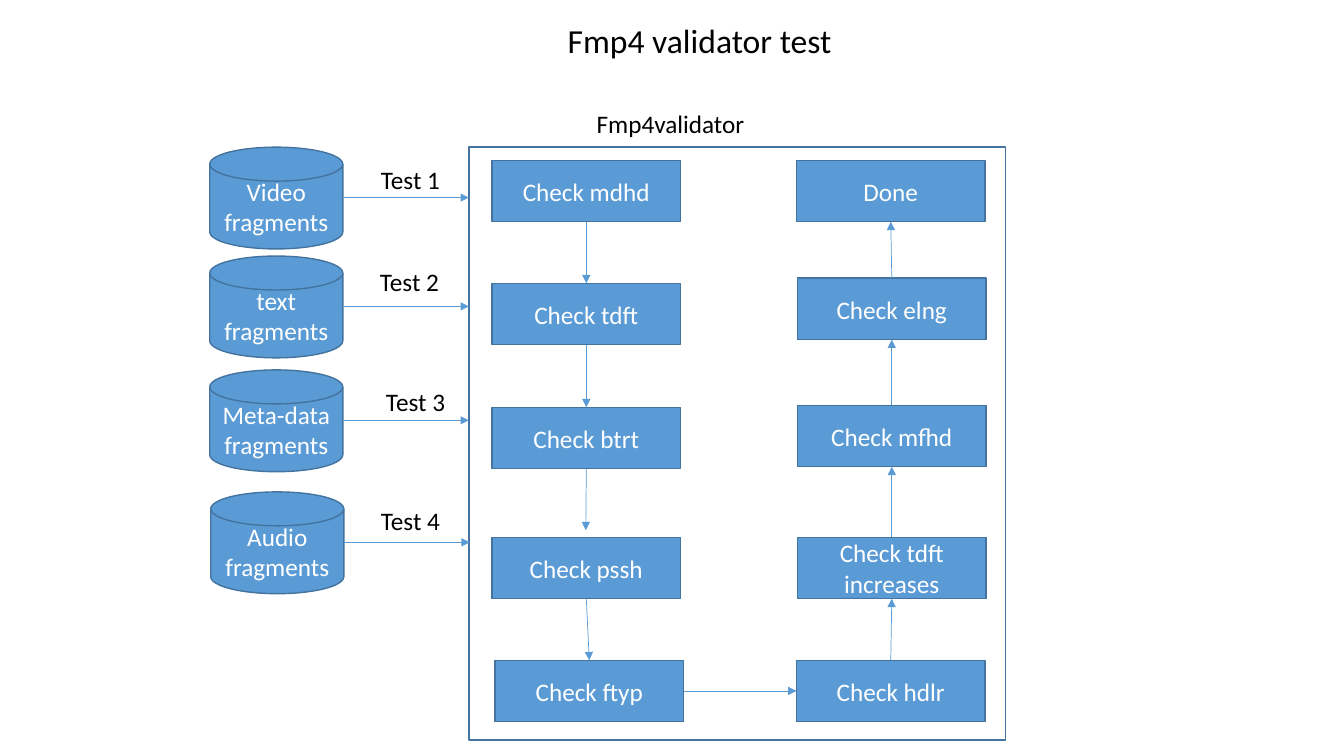
import dataclasses

import pptx
import pptx.dml.color
import pptx.enum.shapes
import pptx.enum.text
import pptx.oxml
import pptx.oxml.ns
import pptx.util

SHAPE = pptx.enum.shapes.MSO_SHAPE
ALIGN = pptx.enum.text.PP_ALIGN
ANCHOR = pptx.enum.text.MSO_ANCHOR
PX = 9144
TOP, LEFT, BOTTOM, RIGHT = range(4)


@dataclasses.dataclass(frozen=True)
class Theme:
    fill: str = "5B9BD5"
    outline: str = "43739E"
    light: str = "FFFFFF"
    dark: str = "000000"
    font: str = "Calibri"
    title_size: int = 24
    body_size: int = 18
    outline_width: float = 1
    arrow_width: float = 0.5


def rgb(value):
    return pptx.dml.color.RGBColor.from_string(value)


def write(frame, text, *, font, size, color, align=ALIGN.LEFT, anchor=ANCHOR.TOP, wrap=True):
    frame.text = text
    frame.word_wrap = wrap
    frame.auto_size = pptx.enum.text.MSO_AUTO_SIZE.NONE
    frame.vertical_anchor = anchor
    for paragraph in frame.paragraphs:
        paragraph.alignment = align
        for run in paragraph.runs:
            run.font.name = font
            run.font.size = pptx.util.Pt(size)
            run.font.color.rgb = rgb(color)


class Diagram:
    def __init__(self, slide, theme):
        self.slide = slide
        self.theme = theme

    def title(self, text, x, y, width, height):
        heading = self.slide.shapes.title
        heading.left, heading.top = x * PX, y * PX
        heading.width, heading.height = width * PX, height * PX
        write(heading.text_frame, text, font=self.theme.font,
              size=self.theme.title_size, color=self.theme.dark, wrap=False)

    def label(self, text, x, y, width, height=40, wrap=False):
        caption = self.slide.shapes.add_textbox(x * PX, y * PX, width * PX, height * PX)
        write(caption.text_frame, text, font=self.theme.font,
              size=self.theme.body_size, color=self.theme.dark, wrap=wrap)

    def node(self, kind, x, y, width, height, text=None):
        node = self.slide.shapes.add_shape(kind, x * PX, y * PX, width * PX, height * PX)
        node.shadow.inherit = False
        node.line.color.rgb = rgb(self.theme.outline)
        node.line.width = pptx.util.Pt(self.theme.outline_width)
        if text is None:
            node.fill.background()
        else:
            node.fill.solid()
            node.fill.fore_color.rgb = rgb(self.theme.fill)
            write(node.text_frame, text, font=self.theme.font, size=self.theme.body_size,
                  color=self.theme.light, align=ALIGN.CENTER, anchor=ANCHOR.MIDDLE)
        return node

    def arrow(self, begin=(0, 0), end=(0, 0), begin_joint=None, end_joint=None):
        arrow = self.slide.shapes.add_connector(
            pptx.enum.shapes.MSO_CONNECTOR.STRAIGHT,
            *(length * PX for length in (*begin, *end)))
        if begin_joint:
            arrow.begin_connect(*begin_joint)
        if end_joint:
            arrow.end_connect(*end_joint)
        arrow.line.color.rgb = rgb(self.theme.fill)
        arrow.line.width = pptx.util.Pt(self.theme.arrow_width)
        head = pptx.oxml.parse_xml(
            f'<a:tailEnd {pptx.oxml.ns.nsdecls("a")} type="triangle"/>')
        arrow.line._get_or_add_ln().append(head)
        arrow._element.spPr.append(
            pptx.oxml.parse_xml(f'<a:effectLst {pptx.oxml.ns.nsdecls("a")}/>'))


CHECKS = [
    ("Check mdhd", 488, 159),
    ("Check tdft", 488, 281),
    ("Check btrt", 488, 404),
    ("Check pssh", 488, 533),
    ("Check ftyp", 491, 655),
    ("Check hdlr", 790, 655),
    ("Check tdft increases", 791, 533),
    ("Check mfhd", 791, 402),
    ("Check elng", 791, 276),
    ("Done", 790, 159),
]

SOURCES = [
    ("Video", 208, 146, "Test 1", 368, 158),
    ("text", 208, 254, "Test 2", 367, 259),
    ("Meta-data", 208, 367, "Test 3", 373, 378),
    ("Audio", 209, 488, "Test 4", 368, 496),
]


def main():
    presentation = pptx.Presentation()
    presentation.slide_width = 1333 * PX
    presentation.slide_height = 750 * PX
    slide = presentation.slides.add_slide(presentation.slide_layouts[5])
    diagram = Diagram(slide, Theme())

    diagram.title("Fmp4 validator test", 553, 15, 284, 50)
    diagram.label("Fmp4validator", 582, 103, 353, wrap=True)

    checks = [diagram.node(SHAPE.RECTANGLE, x, y, 187, 61, text) for text, x, y in CHECKS]
    diagram.node(SHAPE.RECTANGLE, 465, 146, 532, 588)

    disk_width, disk_height = 132, 101
    for source, x, y, test, test_x, test_y in SOURCES:
        diagram.node(SHAPE.FLOWCHART_MAGNETIC_DISK, x, y, disk_width, disk_height,
                     f"{source}\nfragments")
        middle = y + disk_height // 2
        diagram.arrow((x + disk_width, middle), (x + disk_width + 125, middle))
        diagram.label(test, test_x, test_y, 79)

    down, across, up = (BOTTOM, TOP), (RIGHT, LEFT), (TOP, BOTTOM)
    directions = [down] * 4 + [across] + [up] * 4
    for index, (leaving, entering) in enumerate(directions):
        begin_joint = (checks[index], leaving)
        if CHECKS[index][0] == "Check btrt":
            diagram.arrow(end=(581, 526), begin_joint=begin_joint)
        else:
            diagram.arrow(begin_joint=begin_joint, end_joint=(checks[index + 1], entering))

    presentation.save("out.pptx")


if __name__ == "__main__":
    main()
